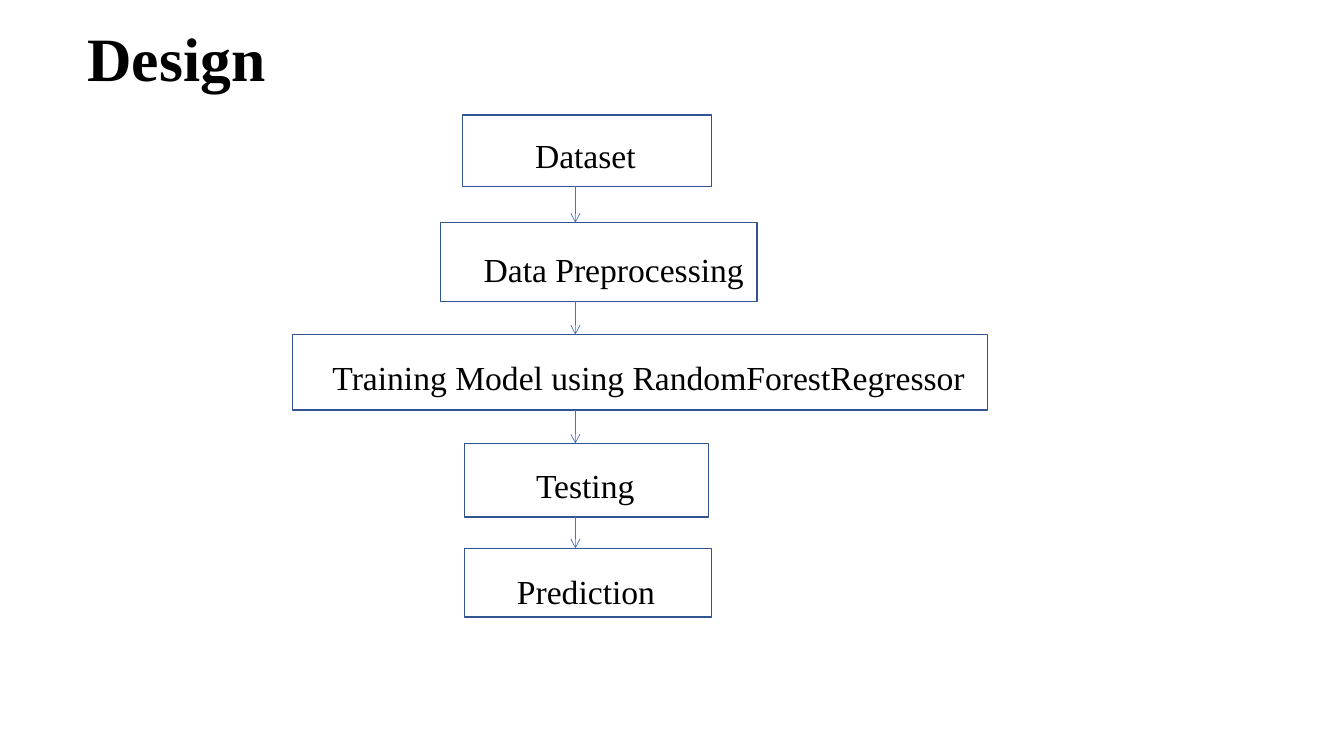
from dataclasses import dataclass
from itertools import pairwise

from lxml import etree
from pptx import Presentation
from pptx.dml.color import RGBColor
from pptx.enum.shapes import MSO_CONNECTOR, MSO_SHAPE
from pptx.oxml.ns import qn
from pptx.util import Pt

PROCESS = MSO_SHAPE.FLOWCHART_PROCESS
STRAIGHT = MSO_CONNECTOR.STRAIGHT


@dataclass(frozen=True)
class Theme:
    font: str = "Times New Roman"
    text: RGBColor = RGBColor(0x00, 0x00, 0x00)
    fill: RGBColor = RGBColor(0xFF, 0xFF, 0xFF)
    border: RGBColor = RGBColor(0x32, 0x54, 0x91)
    arrow: RGBColor = RGBColor(0x44, 0x72, 0xC4)
    title_size: int = 44
    label_size: int = 24


theme = Theme()

deck = Presentation()
deck.slide_width, deck.slide_height = Pt(960), Pt(540)
page = deck.slides.add_slide(deck.slide_layouts[6])


def add_text(text, left, top, width, height, size, bold=False, spacing=1.0, margin_top=3.6):
    box = page.shapes.add_textbox(Pt(left), Pt(top), Pt(width), Pt(height))
    frame = box.text_frame
    frame.word_wrap = True
    frame.margin_top = Pt(margin_top)
    para = frame.paragraphs[0]
    para.line_spacing = spacing
    span = para.add_run()
    span.text = text
    span.font.name = theme.font
    span.font.size = Pt(size)
    span.font.bold = bold
    span.font.color.rgb = theme.text


# Title
add_text("Design", 55.4, 13.7, 828, 104.4, theme.title_size,
         bold=True, spacing=0.9, margin_top=6.5)

# Steps: label, box (left, top, width, height), label (left, top, width)
steps = [
    ("Dataset", (330.5, 82.1, 177.8, 51.1), (375.1, 92.9, 98.6)),
    ("Data Preprocessing", (314.6, 159.1, 226.1, 56.2), (338.4, 174.2, 218.9)),
    ("Training Model using RandomForestRegressor",
     (208.8, 239, 496.8, 54), (230.4, 251.3, 468)),
    ("Testing", (331.9, 316.8, 174.2, 52.5), (375.8, 328.3, 97.2)),
    ("Prediction", (331.9, 391.7, 176.4, 49), (362.2, 403.9, 131.8)),
]
label_height = 36

for label, frame_place, label_place in steps:
    box = page.shapes.add_shape(PROCESS, *map(Pt, frame_place))
    box.shadow.inherit = False
    box.fill.solid()
    box.fill.fore_color.rgb = theme.fill
    box.line.color.rgb = theme.border
    box.line.width = Pt(1)
    add_text(label, *label_place, label_height, theme.label_size)

# Arrows run down one axis, from each box to the next
flow_x = 411
for (_, upper, _), (_, lower, _) in pairwise(steps):
    arrow = page.shapes.add_connector(
        STRAIGHT, Pt(flow_x), Pt(upper[1] + upper[3]), Pt(flow_x), Pt(lower[1]))
    arrow.line.color.rgb = theme.arrow
    arrow.line.width = Pt(0.5)
    etree.SubElement(arrow.line._get_or_add_ln(), qn("a:tailEnd"), type="arrow")
    etree.SubElement(arrow._element.spPr, qn("a:effectLst"))

deck.save("out.pptx")
